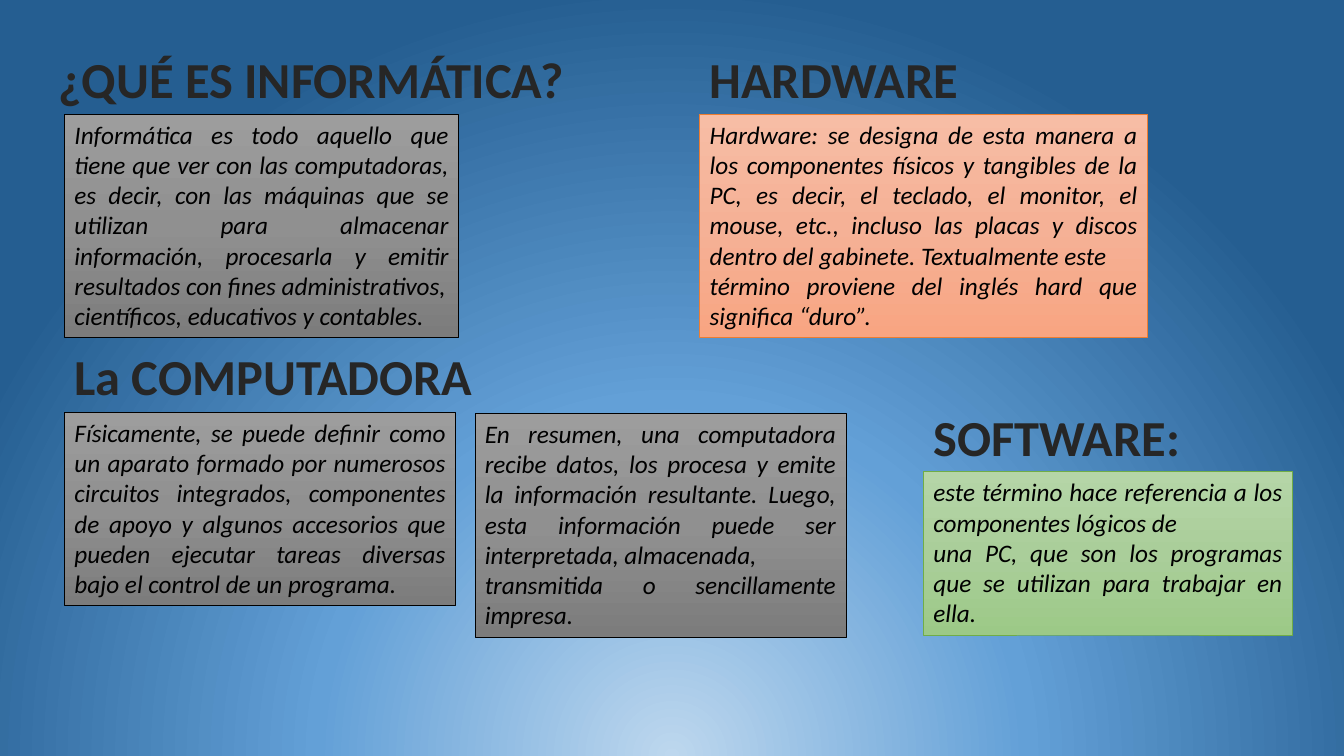
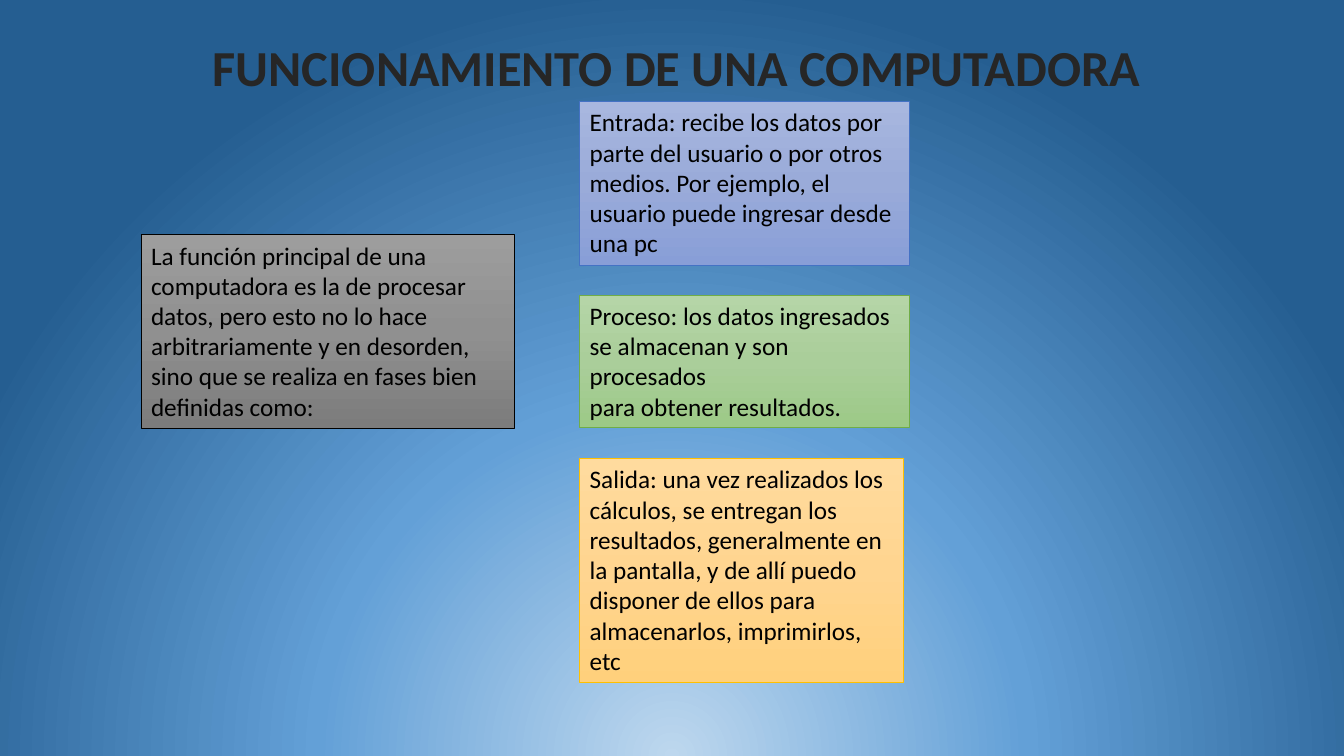
from pptx import Presentation
from pptx.dml.color import RGBColor
from pptx.enum.shapes import MSO_SHAPE as Shape
from pptx.enum.text import MSO_ANCHOR as Anchor, MSO_AUTO_SIZE as AutoSize, PP_ALIGN as Align
from pptx.oxml import parse_xml
from pptx.oxml.ns import nsdecls, qn
from pptx.util import Inches, Pt

FONT = "Calibri"
TITLE_COLOR, TEXT_COLOR, OUTLINE_COLOR = "262626", "000000", "FFFFFF"
TITLE_HEIGHT = 0.71
BACKDROP = [(0, "BDD7EE"), (46, "63A0D7"), (100, "255E91")]
RADIAL = '<a:path path="circle"><a:fillToRect l="50000" t="130000" r="50000" b="-30000"/></a:path>'
DOWNWARD = '<a:lin ang="5400000" scaled="0"/>'
THEMES = {
    "gray": (["9D9D9D", "909090", "7C7C7C"], "000000"),
    "orange": (["F7BDA5", "F5B196", "F8A582"], "ED7D31"),
    "green": (["B5D5A7", "AACE9A", "9CC987"], "70AD47"),
    "blue": (["A8B7DF", "9AABD9", "889ED7"], "4472C4"),
    "gold": (["FFDB9E", "FFD590", "FFD07C"], "FFC000"),
}

CONCEPT_HEADINGS = [
    ("La COMPUTADORA", 0.64, 3.37, 4.19),
    ("HARDWARE", 6.94, 0.43, 2.7),
    ("SOFTWARE:", 9.16, 3.98, 2.79),
]
CONCEPT_CARDS = [
    ("gray", (0.64, 1.13, 3.91, 2.22),
     "Informática es todo aquello que tiene que ver con las computadoras, es decir, con las "
     "máquinas que se utilizan para almacenar información, procesarla y emitir resultados con "
     "fines administrativos,\ncientíficos, educativos y contables."),
    ("gray", (0.64, 4.09, 3.88, 1.92),
     "Físicamente, se puede definir como un aparato formado por numerosos circuitos integrados, "
     "componentes de apoyo y algunos accesorios que pueden ejecutar tareas diversas bajo el "
     "control de un programa."),
    ("gray", (4.71, 4.1, 3.68, 2.22),
     "En resumen, una computadora recibe datos, los procesa y emite la información resultante. "
     "Luego, esta información puede ser interpretada, almacenada,\n"
     "transmitida o sencillamente impresa."),
    ("orange", (6.94, 1.13, 4.44, 2.22),
     "Hardware: se designa de esta manera a los componentes físicos y tangibles de la PC, es "
     "decir, el teclado, el monitor, el mouse, etc., incluso las placas y discos dentro del "
     "gabinete. Textualmente este\ntérmino proviene del inglés hard que significa “duro”."),
    ("green", (9.16, 4.68, 3.66, 1.62),
     "este término hace referencia a los componentes lógicos de\n"
     "una PC, que son los programas que se utilizan para trabajar en ella."),
]
PHASE_CARDS = [
    ("gray", (1.4, 2.33, 3.7, 1.92),
     "La función principal de una computadora es la de procesar datos, pero esto no lo hace "
     "arbitrariamente y en desorden, sino que se realiza en fases bien definidas como:"),
    ("blue", (5.75, 1.01, 3.27, 1.62),
     "Entrada: recibe los datos por parte del usuario o por otros medios. Por ejemplo, el "
     "usuario puede ingresar desde una pc"),
    ("green", (5.75, 2.93, 3.27, 1.31),
     "Proceso: los datos ingresados se almacenan y son procesados\npara obtener resultados."),
    ("gold", (5.75, 4.55, 3.21, 2.22),
     "Salida: una vez realizados los cálculos, se entregan los resultados, generalmente en la "
     "pantalla, y de allí puedo disponer de ellos para\nalmacenarlos, imprimirlos, etc"),
]


def rgb(value):
    """Turn a hex string into a colour."""
    return RGBColor.from_string(value)


def apply_gradient(fill, holder, stops, shading):
    """Give the fill inside the holder element a gradient with any number of stops."""
    fill.background()
    stop_list = "".join(
        f'<a:gs pos="{position * 1000}"><a:srgbClr val="{color}"/></a:gs>'
        for position, color in stops)
    gradient = parse_xml(
        f'<a:gradFill {nsdecls("a")} rotWithShape="1"><a:gsLst>{stop_list}</a:gsLst>'
        f'{shading}</a:gradFill>')
    empty_fill = next(holder.iter(qn("a:noFill")))
    empty_fill.getparent().replace(empty_fill, gradient)


def write_text(frame, text, size, color, align, wrap, bold=False, italic=False):
    """Fill a text frame with evenly formatted paragraphs."""
    frame.text = text
    frame.word_wrap = wrap
    frame.auto_size = AutoSize.SHAPE_TO_FIT_TEXT
    frame.vertical_anchor = Anchor.TOP
    for paragraph in frame.paragraphs:
        paragraph.alignment = align
        for run in paragraph.runs:
            font = run.font
            font.name, font.size = FONT, Pt(size)
            font.bold, font.italic = bold, italic
            font.color.rgb = rgb(color)


def style_heading(heading, text):
    """Write a large bold heading with a thin text outline."""
    write_text(heading.text_frame, text, 36, TITLE_COLOR, Align.LEFT, False, bold=True)
    outline = parse_xml(
        f'<a:ln {nsdecls("a")} w="{Pt(1.06)}"><a:solidFill>'
        f'<a:srgbClr val="{OUTLINE_COLOR}"/></a:solidFill></a:ln>')
    heading.text_frame.paragraphs[0].runs[0].font._element.insert(0, outline)


def add_titled_slide(deck, text, left, top, width):
    """Add a slide whose title placeholder is moved into place."""
    slide = deck.slides.add_slide(deck.slide_layouts[5])
    title = slide.shapes.title
    title.left, title.top = Inches(left), Inches(top)
    title.width, title.height = Inches(width), Inches(TITLE_HEIGHT)
    style_heading(title, text)
    return slide


def add_heading(slide, text, left, top, width):
    """Add a further heading in the title style."""
    bounds = map(Inches, (left, top, width, TITLE_HEIGHT))
    style_heading(slide.shapes.add_textbox(*bounds), text)


def add_card(slide, theme, bounds, text, align=Align.LEFT, italic=False):
    """Add a gradient rectangle holding an explanation."""
    colors, border = THEMES[theme]
    card = slide.shapes.add_shape(Shape.RECTANGLE, *map(Inches, bounds))
    card.shadow.inherit = False
    apply_gradient(card.fill, card._element.spPr, zip((0, 50, 100), colors), DOWNWARD)
    card.line.color.rgb = rgb(border)
    card.line.width = Pt(0.5)
    write_text(card.text_frame, text, 18, TEXT_COLOR, align, True, italic=italic)


def main():
    """Build and save the presentation."""
    deck = Presentation()
    deck.slide_width, deck.slide_height = Inches(13.33), Inches(7.5)
    master = deck.slide_master
    apply_gradient(master.background.fill, master.element.cSld, BACKDROP, RADIAL)

    concepts = add_titled_slide(deck, "¿QUÉ ES INFORMÁTICA?", 0.48, 0.43, 5.27)
    for heading in CONCEPT_HEADINGS:
        add_heading(concepts, *heading)
    for card in CONCEPT_CARDS:
        add_card(concepts, *card, align=Align.JUSTIFY, italic=True)

    phases = add_titled_slide(deck, "FUNCIONAMIENTO DE UNA COMPUTADORA", 2.01, 0.31, 9.5)
    for card in PHASE_CARDS:
        add_card(phases, *card)

    deck.save("out.pptx")


if __name__ == "__main__":
    main()
